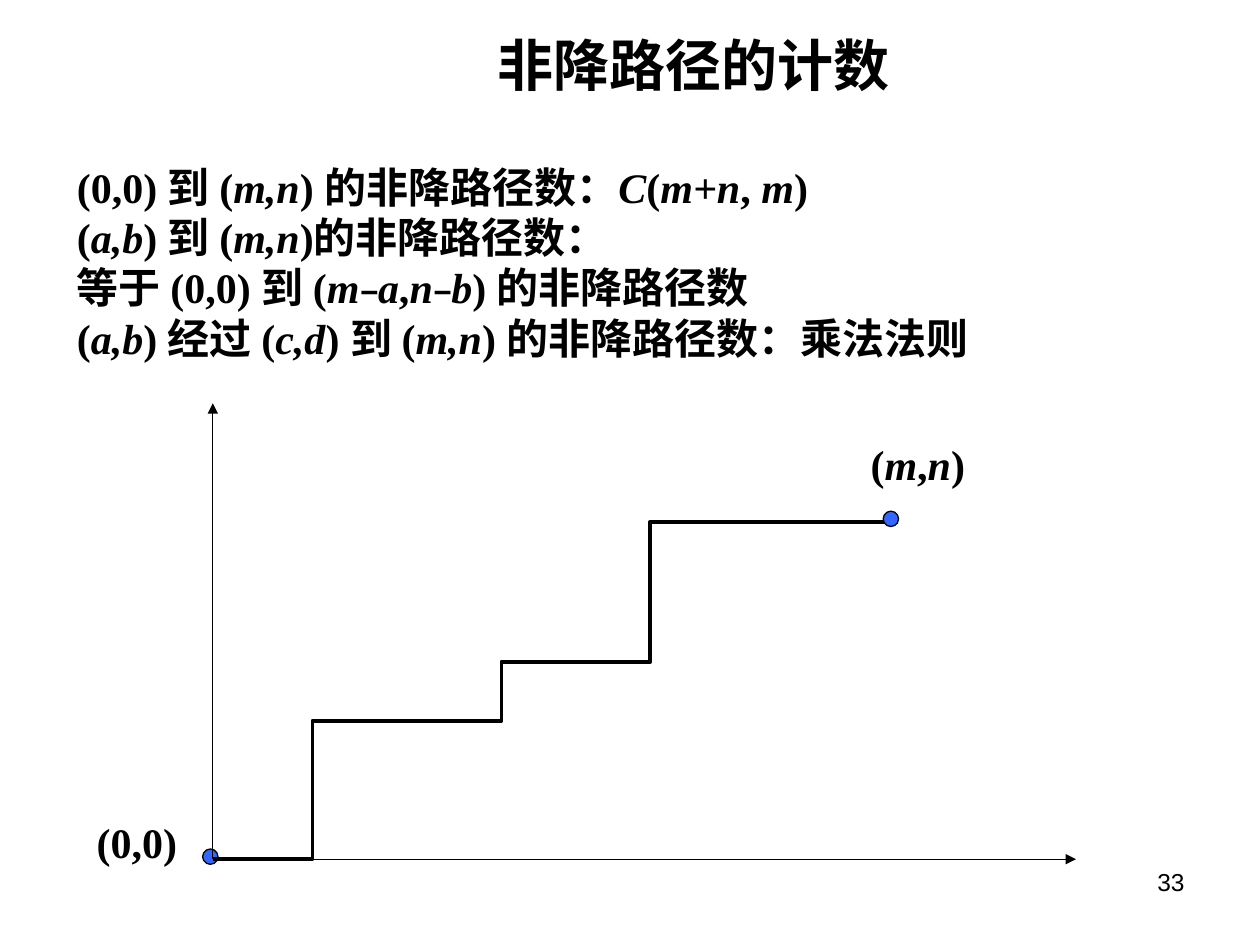
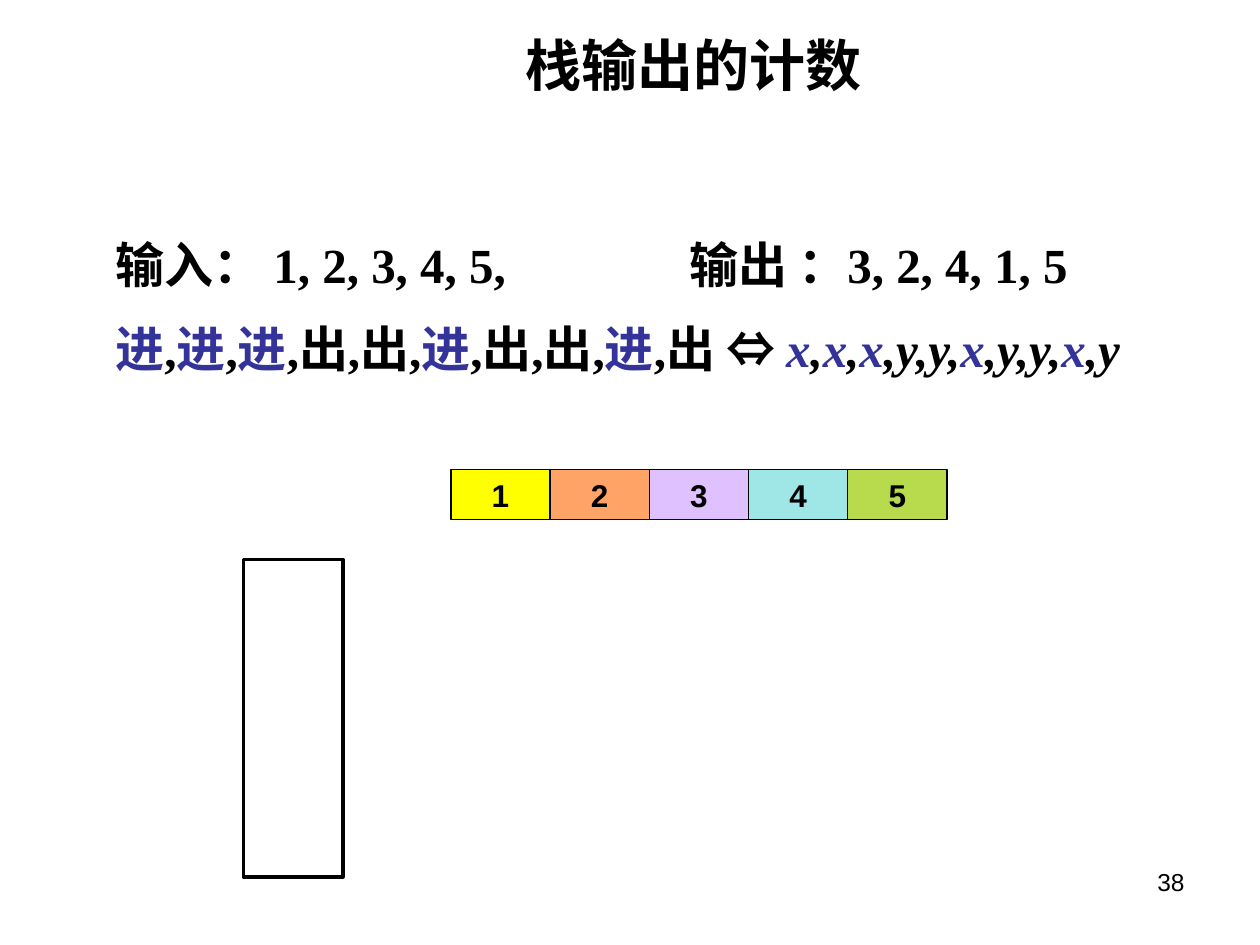
from itertools import groupby

from lxml import etree
from pptx import Presentation
from pptx.dml.color import RGBColor
from pptx.enum.shapes import MSO_CONNECTOR, MSO_SHAPE
from pptx.enum.text import MSO_ANCHOR, PP_ALIGN
from pptx.oxml.ns import qn
from pptx.util import Cm, Pt

RECT, OVAL, STRAIGHT = MSO_SHAPE.RECTANGLE, MSO_SHAPE.OVAL, MSO_CONNECTOR.STRAIGHT
TOP, MIDDLE = MSO_ANCHOR.TOP, MSO_ANCHOR.MIDDLE
LEFT, CENTER, RIGHT = PP_ALIGN.LEFT, PP_ALIGN.CENTER, PP_ALIGN.RIGHT

BLACK = RGBColor(0x00, 0x00, 0x00)
WHITE = RGBColor(0xFF, 0xFF, 0xFF)
PUSH_BLUE = RGBColor(0x33, 0x33, 0x99)
DOT_BLUE = RGBColor(0x33, 0x66, 0xFF)
YELLOW = RGBColor(0xFF, 0xFF, 0x00)
ORANGE = RGBColor(0xFF, 0x66, 0x00)
LILAC = RGBColor(0xCC, 0x99, 0xFF)
TEAL = RGBColor(0x33, 0xCC, 0xCC)
GREEN = RGBColor(0x99, 0xCC, 0x00)

SANS, SERIF = "Arial", "Times New Roman"
THIN, THICK = 0.75, 2.25

# In all text, * switches italics on and off.
# These characters always carry a format of their own.
CHAR_FORMATS = {
    "−": {"font": SANS, "size": 18},
    "⇔": {"font": SANS},
    "进": {"color": PUSH_BLUE},
    "x": {"color": PUSH_BLUE},
}

# Boxes are left, top, width, height in cm.
TITLE_BOX = (5.49, 0.71, 16.99, 1.17)
NUMBER_BOX = (18.21, 17.35, 5.92, 1.32)

PATH_TITLE, PATH_NUMBER = "非降路径的计数", "33"
PATH_BOX = (1.3, 3.12, 21.59, 4.32)
PATH_RULES = [
    "(0,0) 到 (*m,n*) 的非降路径数：*C*(*m+n*, *m*)",
    "(*a,b*) 到 (*m,n*)的非降路径数：",
    "等于 (0,0) 到 (*m−a*,*n−b*) 的非降路径数",
    "(*a,b*) 经过 (*c,d*) 到 (*m,n*) 的非降路径数：乘法法则",
]
ORIGIN = (4.29, 17.32)
AXIS_ENDS = [(21.69, 17.32), (4.29, 8.13)]
STEPS = [(6.3, 14.53), (10.11, 13.34), (13.11, 10.52)]  # x of each rise, y reached
PATH_END_X = 18.11
DOT_SIZE = 0.31
START_DOT, END_DOT = (4.24, 17.27), (17.96, 10.46)
POINT_LABELS = [
    ("(*m*,*n*)", (17.3, 8.71, 2.41, 1.27)),
    ("(0,0)", (1.7, 16.33, 2.13, 1.27)),
]

STACK_TITLE, STACK_NUMBER = "栈输出的计数", "38"
STACK_BOX = (2.08, 4.01, 23.01, 4.32)
STACK_LINES = [
    "输入： 1, 2, 3, 4, 5,\t输出 ：3, 2, 4, 1, 5",
    "进,进,进,出,出,进,出,出,进,出 ⇔ *x,x,x,y,y,x,y,y,x,y*",
]
OUTPUT_TAB = 11.57
STACK = (4.91, 11.28, 2.0, 6.4)
CELLS = [(YELLOW, 100), (ORANGE, 60), (LILAC, 60), (TEAL, 47), (GREEN, 70)]  # opacity %
CELL_ROW = (9.09, 9.47, 2.0, 1.0)


def cm(values):
    return [Cm(v) for v in values]


def split_runs(text):
    """Yield (text, italic, own format) for each stretch of like characters."""
    for i, part in enumerate(text.split("*")):
        for fmt, chars in groupby(part, lambda ch: CHAR_FORMATS.get(ch, {})):
            yield "".join(chars), i % 2 == 1, fmt


def write(sp, lines, size=24, font=SERIF, color=BLACK, bold=True, align=LEFT,
          anchor=TOP, wrap=True, space_before=0, tab=None):
    tf = sp.text_frame
    tf.word_wrap, tf.vertical_anchor = wrap, anchor
    for i, line in enumerate(lines):
        p = tf.paragraphs[0] if i == 0 else tf.add_paragraph()
        p.alignment = align
        if i and space_before:
            p.space_before = Pt(space_before)
        if tab and "\t" in line:
            tabs = etree.SubElement(p._p.get_or_add_pPr(), qn("a:tabLst"))
            etree.SubElement(tabs, qn("a:tab"), pos=str(Cm(tab)), algn="l")
        for text, italic, own in split_runs(line):
            fmt = {"size": size, "font": font, "color": color, **own}
            r = p.add_run()
            r.text = text
            r.font.size, r.font.name = Pt(fmt["size"]), fmt["font"]
            r.font.bold, r.font.italic = bold, italic
            r.font.color.rgb = fmt["color"]
            r._r.get_or_add_rPr().set("lang", "zh-CN")


def add_text(shapes, box, lines, **fmt):
    write(shapes.add_textbox(*cm(box)), lines, **fmt)


def set_line(sp, width):
    sp.line.color.rgb = BLACK
    sp.line.width = Pt(width)


def add_shape(shapes, kind, box, fill, opacity=100, line=THIN):
    sp = shapes.add_shape(kind, *cm(box))
    sp.shadow.inherit = False
    sp.fill.solid()
    sp.fill.fore_color.rgb = fill
    if opacity < 100:
        clr = sp._element.spPr.find(".//" + qn("a:srgbClr"))
        etree.SubElement(clr, qn("a:alpha"), val=str(opacity * 1000))
    set_line(sp, line)
    return sp


def add_dot(shapes, center):
    x, y = (v - DOT_SIZE / 2 for v in center)
    add_shape(shapes, OVAL, (x, y, DOT_SIZE, DOT_SIZE), DOT_BLUE)


def add_axis(shapes, end):
    axis = shapes.add_connector(STRAIGHT, *cm(ORIGIN + end))
    set_line(axis, THIN)
    etree.SubElement(axis.line._get_or_add_ln(), qn("a:tailEnd"), type="triangle")
    etree.SubElement(axis._element.spPr, qn("a:effectLst"))


def add_staircase(shapes):
    x, y = ORIGIN
    corners = []
    for x, next_y in STEPS:
        corners += [(x, y), (x, next_y)]
        y = next_y
    corners.append((PATH_END_X, y))
    builder = shapes.build_freeform(*cm(ORIGIN))
    builder.add_line_segments([cm(c) for c in corners], close=False)
    sp = builder.convert_to_shape()
    sp.shadow.inherit = False
    sp.fill.background()
    set_line(sp, THICK)


def add_slide(prs, title, number):
    s = prs.slides.add_slide(prs.slide_layouts[6])
    add_text(s.shapes, TITLE_BOX, [title], size=32, font=SANS, align=CENTER, anchor=MIDDLE)
    add_text(s.shapes, NUMBER_BOX, [number], size=14, font=SANS, bold=False, align=RIGHT)
    return s


def build_path_slide(prs):
    s = add_slide(prs, PATH_TITLE, PATH_NUMBER)
    add_text(s.shapes, PATH_BOX, PATH_RULES, anchor=MIDDLE)
    diagram = s.shapes.add_group_shape().shapes
    add_dot(diagram, START_DOT)
    for end in AXIS_ENDS:
        add_axis(diagram, end)
    add_staircase(diagram)
    add_dot(diagram, END_DOT)
    for label, box in POINT_LABELS:
        add_text(diagram, box, [label], wrap=False)


def build_stack_slide(prs):
    s = add_slide(prs, STACK_TITLE, STACK_NUMBER)
    add_text(s.shapes, STACK_BOX, STACK_LINES, size=28, anchor=MIDDLE,
             space_before=14, tab=OUTPUT_TAB)
    add_shape(s.shapes, RECT, STACK, WHITE, line=THICK)
    left, top, width, height = CELL_ROW
    for i, (fill, opacity) in enumerate(CELLS):
        cell = add_shape(s.shapes, RECT, (left + i * width, top, width, height), fill, opacity)
        write(cell, [str(i + 1)], size=18, font=SANS, align=CENTER, anchor=MIDDLE, wrap=False)


def main():
    prs = Presentation()
    prs.slide_width, prs.slide_height = Cm(25.4), Cm(19.05)
    build_path_slide(prs)
    build_stack_slide(prs)
    prs.save("out.pptx")


if __name__ == "__main__":
    main()
